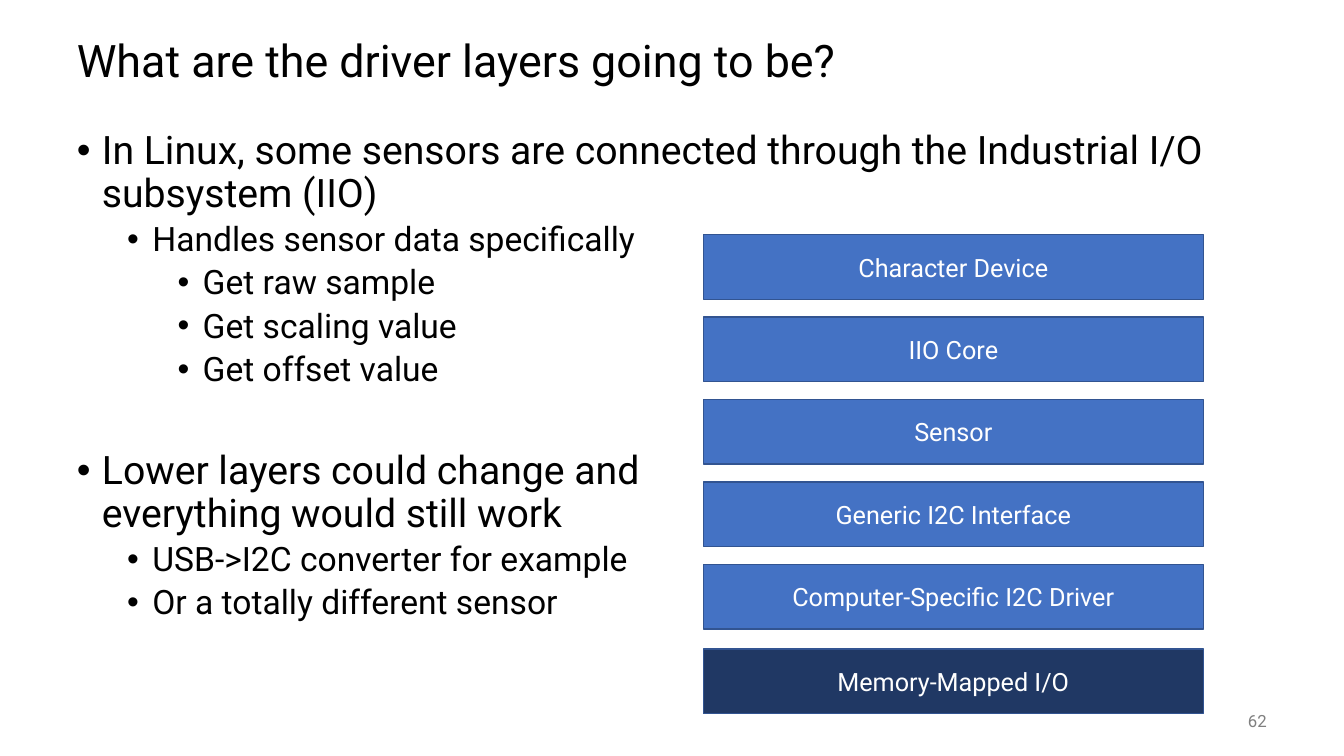
"""Build a slide on the driver layers of an IIO sensor in Linux."""
from lxml import etree
from pptx import Presentation
from pptx.dml.color import RGBColor
from pptx.enum.shapes import MSO_SHAPE
from pptx.enum.text import MSO_ANCHOR, PP_ALIGN
from pptx.oxml.ns import qn
from pptx.util import Pt

RECTANGLE = MSO_SHAPE.RECTANGLE
MIDDLE, TOP = MSO_ANCHOR.MIDDLE, MSO_ANCHOR.TOP
LEFT, CENTER, RIGHT = PP_ALIGN.LEFT, PP_ALIGN.CENTER, PP_ALIGN.RIGHT
COLORS = {
    "text": "000000",
    "number": "808080",
    "label": "FFFFFF",
    "software": "4472C4",
    "hardware": "203864",
    "outline": "325491",
}


def style(paragraph, size, color, align=LEFT):
    paragraph.alignment = align
    paragraph.font.name = "Roboto"
    paragraph.font.size = Pt(size)
    paragraph.font.color.rgb = RGBColor.from_string(COLORS[color])


def add_text_box(page, left, top, width, height, anchor):
    box = page.shapes.add_textbox(Pt(left), Pt(top), Pt(width), Pt(height))
    box.text_frame.word_wrap = True
    box.text_frame.vertical_anchor = anchor
    return box.text_frame


deck = Presentation()
deck.slide_width, deck.slide_height = Pt(960), Pt(540)
page = deck.slides.add_slide(deck.slide_layouts[6])

title = add_text_box(page, 47.75, 18, 864, 54, MIDDLE).paragraphs[0]
title.text = "What are the driver layers going to be?"
title.line_spacing = 0.9
style(title, 32, "text")

bullets = [
    (0, 0, "In Linux, some sensors are connected through the Industrial I/O subsystem (IIO)"),
    (1, 5, "Handles sensor data specifically"),
    (2, 5, "Get raw sample"),
    (2, 5, "Get scaling value"),
    (2, 5, "Get offset value"),
    (0, 44.5, "Lower layers could change and\veverything would still work"),
    (1, 5, "USB->I2C converter for example"),
    (1, 5, "Or a totally different sensor"),
]
body = add_text_box(page, 47.75, 90, 864, 396, TOP)
for index, (level, space_before, text) in enumerate(bullets):
    paragraph = body.add_paragraph() if index else body.paragraphs[0]
    paragraph.text = text
    paragraph.level = level
    paragraph.line_spacing = 0.9
    paragraph.space_before = Pt(space_before)
    properties = paragraph._p.get_or_add_pPr()
    properties.set("marL", str(Pt(18 + 36 * level)))
    properties.set("indent", str(Pt(-18)))
    etree.SubElement(properties, qn("a:buFont"), typeface="Arial")
    etree.SubElement(properties, qn("a:buChar"), char="•")
    style(paragraph, 24 if level else 28, "text")

number = add_text_box(page, 840, 500.4, 72, 28.8, MIDDLE).paragraphs[0]
number.text = "62"
style(number, 12, "number", RIGHT)

software_layers = [
    "Character Device",
    "IIO Core",
    "Sensor",
    "Generic I2C Interface",
    "Computer-Specific I2C Driver",
]
layers = [(name, 167.6 + 58.9 * row, "software") for row, name in enumerate(software_layers)]
layers.append(("Memory-Mapped I/O", 463.7, "hardware"))
for name, top, kind in layers:
    layer = page.shapes.add_shape(RECTANGLE, Pt(502.5), Pt(top), Pt(357), Pt(46.2))
    layer.shadow.inherit = False
    layer.fill.solid()
    layer.fill.fore_color.rgb = RGBColor.from_string(COLORS[kind])
    layer.line.color.rgb = RGBColor.from_string(COLORS["outline"])
    layer.line.width = Pt(1)
    layer.text_frame.vertical_anchor = MIDDLE
    label = layer.text_frame.paragraphs[0]
    label.text = name
    style(label, 18, "label", CENTER)

deck.save("out.pptx")
